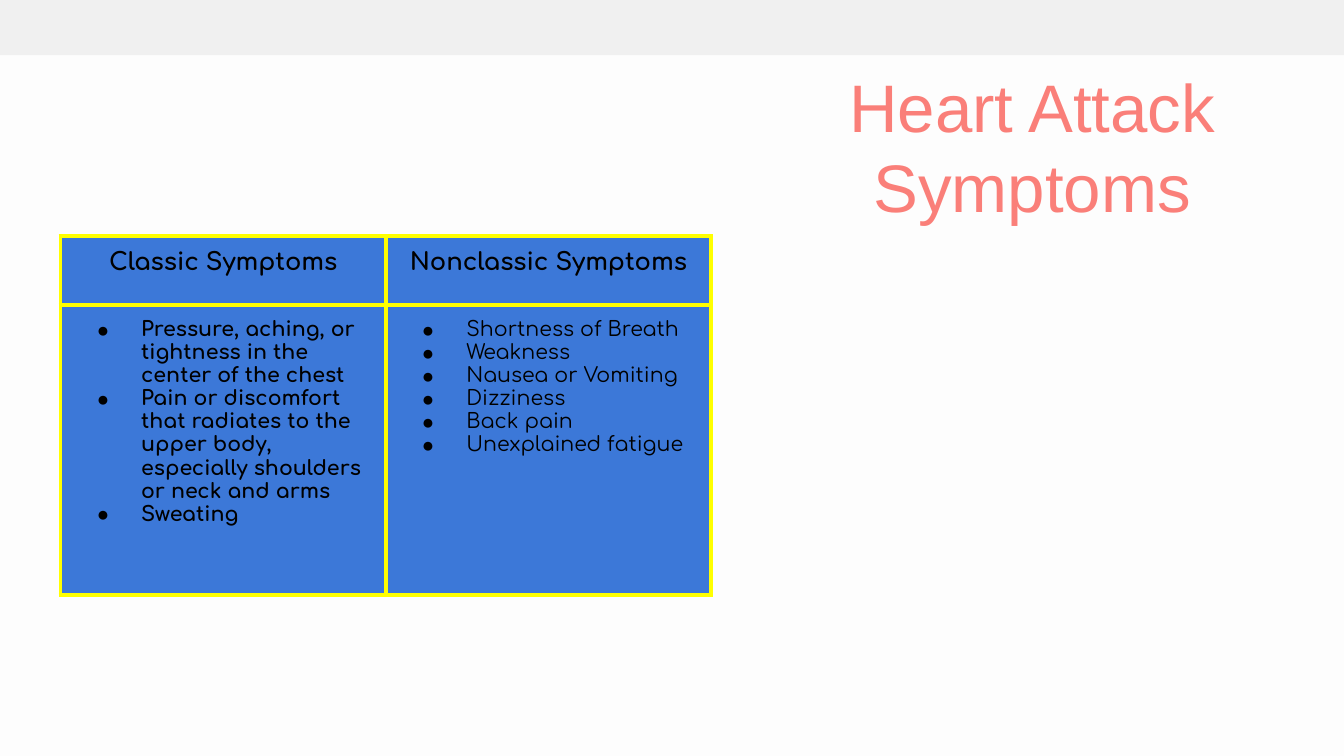
from lxml.etree import SubElement
from pptx import Presentation
from pptx.dml.color import RGBColor
from pptx.enum.shapes import MSO_SHAPE
from pptx.enum.text import MSO_ANCHOR, PP_ALIGN
from pptx.oxml import parse_xml
from pptx.oxml.ns import nsdecls, qn
from pptx.util import Inches, Pt

YELLOW = "FFFF00"
HEADS = ["Classic Symptoms", "Nonclassic Symptoms"]
LISTS = [
    ["Pressure, aching, or tightness in the center of the chest",
     "Pain or discomfort that radiates to the upper body, especially shoulders or neck and arms",
     "Sweating"],
    ["Shortness of Breath", "Weakness", "Nausea or Vomiting",
     "Dizziness", "Back pain", "Unexplained fatigue"],
]


def paint(part, color):
    """Give a fill one solid colour."""
    part.solid()
    part.fore_color.rgb = RGBColor.from_string(color)


def write(para, text, face, size, color, bold=False):
    run = para.add_run()
    run.text = text
    run.font.name = face
    run.font.size = Pt(size)
    run.font.bold = bold
    paint(run.font.fill, color)


deck = Presentation()
deck.slide_width = Inches(10)
deck.slide_height = deck.slide_width * 9 // 16
col, row = deck.slide_width / 100, deck.slide_height / 100  # 100 by 100 grid
slide = deck.slides.add_slide(deck.slide_layouts[5])
paint(slide.background.fill, "FDFDFD")

# Top band
band = slide.shapes.add_shape(MSO_SHAPE.RECTANGLE, 0, 0, deck.slide_width, int(7.3 * row))
band.shadow.inherit = False
paint(band.fill, "F0F0F0")
band.line.fill.background()

# Title
title = slide.shapes.title
title.left, title.top = int(53.6 * col), int(6.8 * row)
title.width, title.height = int(46.4 * col), int(25.8 * row)
frame = title.text_frame
frame.word_wrap = True
frame.vertical_anchor = MSO_ANCHOR.TOP
frame.margin_left = frame.margin_right = frame.margin_top = frame.margin_bottom = Inches(0.1)
para = frame.paragraphs[0]
para.alignment = PP_ALIGN.CENTER
write(para, "Heart Attack Symptoms", "Arial", 36, "FA7F79")

# Symptom table
wide, tall = int(24.2 * col), [int(9.1 * row), int(38.4 * row)]
table = slide.shapes.add_table(2, 2, int(4.5 * col), int(31.25 * row),
                               2 * wide, sum(tall)).table
table.horz_banding = False
for c in range(2):
    table.columns[c].width = wide
    table.rows[c].height = tall[c]

for c, (head, items) in enumerate(zip(HEADS, LISTS)):
    top, body = table.cell(0, c), table.cell(1, c)
    for cell in (top, body):
        cell.margin_left = cell.margin_right = Inches(0.1)
        cell.margin_top = cell.margin_bottom = Inches(0.1)
        paint(cell.fill, "3C78D8")
        props = cell._tc.get_or_add_tcPr()
        for n, side in enumerate("LRTB"):
            props.insert(n, parse_xml(
                f'<a:ln{side} {nsdecls("a")} w="{Pt(2.25)}"><a:solidFill>'
                f'<a:srgbClr val="{YELLOW}"/></a:solidFill></a:ln{side}>'))

    para = top.text_frame.paragraphs[0]
    para.alignment = PP_ALIGN.CENTER
    write(para, head, "Comfortaa", 13, "000000", True)

    for n, item in enumerate(items):
        frame = body.text_frame
        para = frame.add_paragraph() if n else frame.paragraphs[0]
        props = para._p.get_or_add_pPr()
        props.set("marL", str(Inches(0.5)))
        props.set("indent", str(-Inches(0.33)))
        SubElement(SubElement(props, qn("a:buClr")), qn("a:srgbClr"), val="000000")
        SubElement(props, qn("a:buFont"), typeface="Arial")
        SubElement(props, qn("a:buChar"), char="●")
        write(para, item, "Comfortaa", 11, "000000", c == 0)

deck.save("out.pptx")
